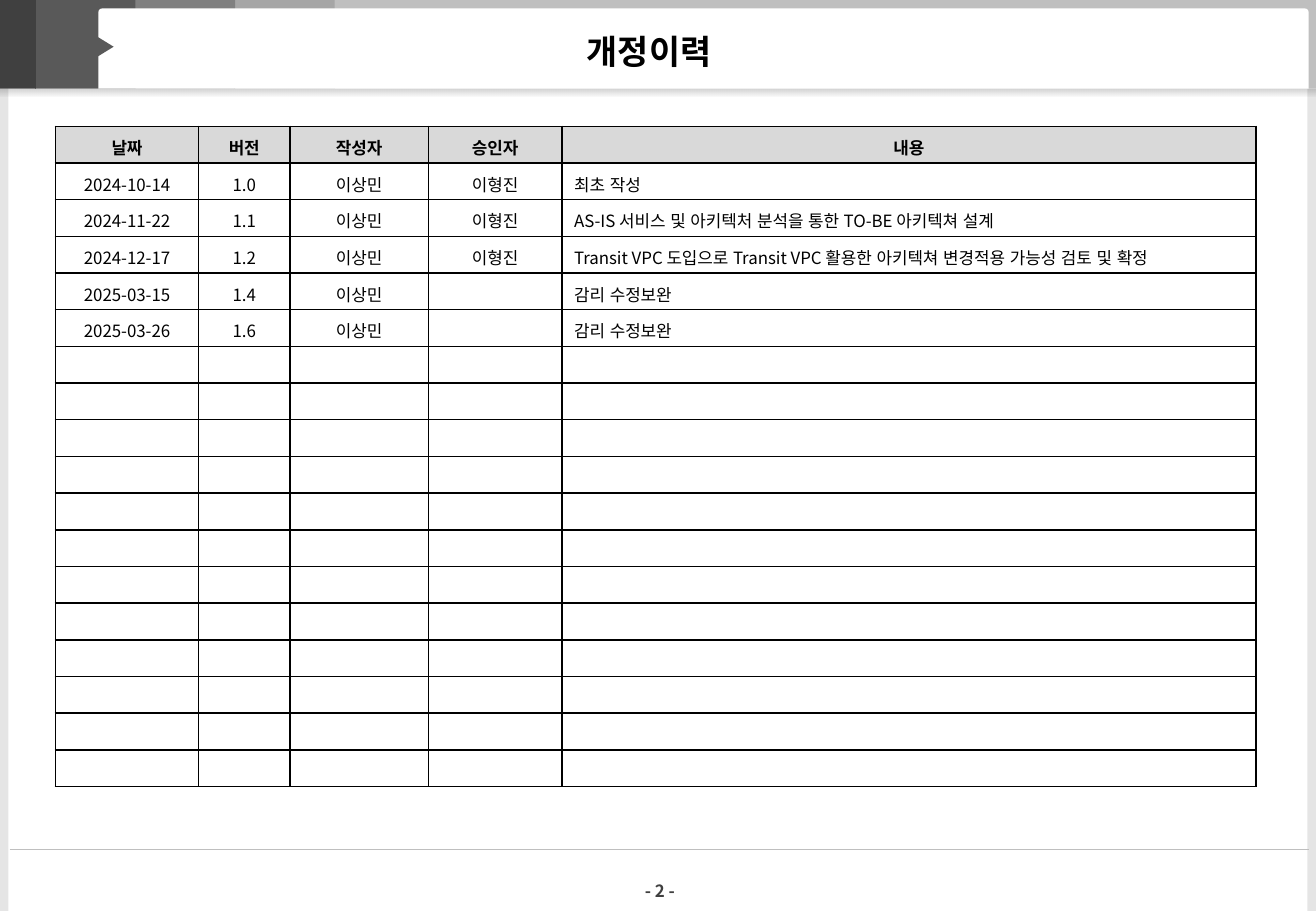
from dataclasses import dataclass

from lxml import etree
from pptx import Presentation
from pptx import util as u
from pptx.dml.color import RGBColor
from pptx.enum import shapes, text
from pptx.oxml import parse_xml
from pptx.oxml.ns import nsdecls, qn


@dataclass(frozen=True)
class Theme:
    font: str = "Noto Sans CJK KR"
    ink: str = "000000"
    paper: str = "FFFFFF"
    header: str = "D9D9D9"
    rule: str = "BFBFBF"
    accent: str = "595959"
    page_number: str = "404040"
    bars: tuple = ("404040", "595959", "808080", "A6A6A6", "BFBFBF")
    title_size: int = 20
    body_size: int = 10


THEME = Theme()
UNIT = u.Inches(0.1)  # side of one square grid cell
PAGE_COLUMNS, PAGE_ROWS = 108.3, 75
BANNER_ROWS = 7.3
BAR_EDGES = (0, 2.9, 11.1, 19.3, 27.5, PAGE_COLUMNS)
BAR_OVERLAP = 0.05
EDGE_WIDTH = 0.7

TABLE_COLUMNS = (11.8, 7.5, 11.4, 11, 57.1)
TABLE_ROWS = 18
HISTORY = (
    ("날짜", "버전", "작성자", "승인자", "내용"),
    ("2024-10-14", "1.0", "이상민", "이형진", "최초 작성"),
    ("2024-11-22", "1.1", "이상민", "이형진",
     "AS-IS 서비스 및 아키텍처 분석을 통한 TO-BE 아키텍쳐 설계"),
    ("2024-12-17", "1.2", "이상민", "이형진",
     "Transit VPC 도입으로 Transit VPC 활용한 아키텍쳐 변경적용 가능성 검토 및 확정"),
    ("2025-03-15", "1.4", "이상민", "", "감리 수정보완"),
    ("2025-03-26", "1.6", "이상민", "", "감리 수정보완"),
)


def grid(*cells):
    """Turn grid columns or rows into lengths."""
    return [u.Emu(round(cell * UNIT)) for cell in cells]


def color(value):
    return RGBColor.from_string(value)


def add_block(page, kind, area, fill):
    block = page.shapes.add_shape(kind, *grid(*area))
    block.shadow.inherit = False
    block.line.fill.background()
    block.fill.solid()
    block.fill.fore_color.rgb = color(fill)
    return block


def set_alpha(block, percent):
    tint = block.fill._xPr.find(".//" + qn("a:srgbClr"))
    etree.SubElement(tint, qn("a:alpha")).set("val", str(percent * 1000))


def fade_down(block, percent):
    """Fill a block with black that fades to nothing at its lower side."""
    properties = block.fill._xPr
    stops = "".join(
        f'<a:gs pos="{position}"><a:srgbClr val="{THEME.ink}">'
        f'<a:alpha val="{alpha}"/></a:srgbClr></a:gs>'
        for position, alpha in ((0, percent * 1000), (100000, 0)))
    gradient = parse_xml(
        f'<a:gradFill {nsdecls("a")} rotWithShape="1"><a:gsLst>{stops}</a:gsLst>'
        '<a:lin ang="5400000" scaled="0"/></a:gradFill>')
    properties.replace(properties.find(qn("a:solidFill")), gradient)


def format_span(span, size, ink, bold):
    span.font.name = THEME.font
    span.font.size = u.Pt(size)
    span.font.bold = bold
    span.font.color.rgb = color(ink)
    properties = span._r.get_or_add_rPr()
    properties.set("lang", "ko-KR")
    properties.set("kern", "0")
    etree.SubElement(properties, qn("a:ea")).set("typeface", THEME.font)


def write_line(box, words, size, ink, align, anchor):
    frame = box.text_frame
    frame.text = words
    frame.auto_size = text.MSO_AUTO_SIZE.NONE
    frame.vertical_anchor = anchor
    frame.margin_left = frame.margin_right = frame.margin_top = frame.margin_bottom = 0
    para = frame.paragraphs[0]
    para.alignment = align
    format_span(para.runs[0], size, ink, True)


def add_banner(page):
    rectangle = shapes.MSO_SHAPE.RECTANGLE
    bars = list(zip(BAR_EDGES, BAR_EDGES[1:], THEME.bars))
    for left, right, fill in reversed(bars):
        right = min(right + BAR_OVERLAP, PAGE_COLUMNS)
        add_block(page, rectangle, (left, 0, right - left, BANNER_ROWS), fill)
    panel = add_block(page, shapes.MSO_SHAPE.ROUND_2_SAME_RECTANGLE,
                      (8.1, 0.7, 99.6, BANNER_ROWS - 0.7), THEME.paper)
    panel.adjustments[0] = 0.045
    pointer = add_block(page, shapes.MSO_SHAPE.ISOSCELES_TRIANGLE,
                        (7.9, 3.2, 1.6, 1.3), THEME.accent)
    pointer.rotation = 90
    shade = add_block(page, rectangle, (0, 7.35, PAGE_COLUMNS, 0.6), THEME.ink)
    fade_down(shade, 18)


def add_frame(page):
    """Draw the side strips, the footer rule and the page number."""
    for left in (0, PAGE_COLUMNS - EDGE_WIDTH):
        strip = add_block(page, shapes.MSO_SHAPE.RECTANGLE,
                          (left, 0, EDGE_WIDTH, PAGE_ROWS), THEME.ink)
        set_alpha(strip, 10)
    rule = page.shapes.add_connector(shapes.MSO_CONNECTOR.STRAIGHT,
                                     *grid(0.8, 69.95, 107.7, 69.95))
    rule.line.color.rgb = color(THEME.rule)
    rule.line.width = u.Pt(0.75)
    etree.SubElement(rule._element.spPr, qn("a:effectLst"))
    number = page.shapes.add_textbox(*grid(52.4, 72.5, 3.8, 1.7))
    write_line(number, "- 2 -", THEME.body_size, THEME.page_number,
               text.PP_ALIGN.CENTER, text.MSO_ANCHOR.MIDDLE)
    number.text_frame.word_wrap = False


def add_title(page):
    title = page.shapes.title
    title.left, title.top, title.width, title.height = grid(48.3, 2.05, 22.6, 3.8)
    write_line(title, "개정이력", THEME.title_size, THEME.ink,
               text.PP_ALIGN.LEFT, text.MSO_ANCHOR.BOTTOM)
    title.element.getparent().append(title.element)  # in front of the banner


def add_borders(cell):
    properties = cell._tc.get_or_add_tcPr()
    for order, side in enumerate("LRTB"):
        properties.insert(order, parse_xml(
            f'<a:ln{side} {nsdecls("a")} w="{u.Pt(1)}"><a:solidFill>'
            f'<a:srgbClr val="{THEME.ink}"/></a:solidFill></a:ln{side}>'))


def fill_cell(cell, words, is_header, align):
    cell.text = words
    cell.vertical_anchor = text.MSO_ANCHOR.MIDDLE
    cell.margin_bottom = u.Inches(0.03)
    cell.fill.solid()
    cell.fill.fore_color.rgb = color(THEME.header if is_header else THEME.paper)
    add_borders(cell)
    para = cell.text_frame.paragraphs[0]
    para.alignment = align
    para.line_spacing = 1.1
    before = etree.SubElement(para._p.get_or_add_pPr(), qn("a:spcBef"))
    etree.SubElement(before, qn("a:spcPct")).set("val", "20000")
    for span in para.runs:
        format_span(span, THEME.body_size, THEME.ink, is_header)
    if not words:  # keeps an empty row as low as a written one
        para._p.append(parse_xml(
            f'<a:endParaRPr {nsdecls("a")} sz="{THEME.body_size * 100}">'
            f'<a:latin typeface="{THEME.font}"/><a:ea typeface="{THEME.font}"/>'
            '</a:endParaRPr>'))


def add_history(page):
    count = len(TABLE_COLUMNS)
    table = page.shapes.add_table(
        TABLE_ROWS, count, *grid(4.55, 10.4, sum(TABLE_COLUMNS), 54.4)).table
    for column, width in zip(table.columns, TABLE_COLUMNS):
        column.width = grid(width)[0]
    blank = ("",) * count
    for r in range(TABLE_ROWS):
        entry = HISTORY[r] if r < len(HISTORY) else blank
        for c, words in enumerate(entry):
            is_note = r > 0 and c == count - 1
            align = text.PP_ALIGN.LEFT if is_note else text.PP_ALIGN.CENTER
            fill_cell(table.cell(r, c), words, r == 0, align)


def main():
    deck = Presentation()
    deck.slide_width, deck.slide_height = grid(PAGE_COLUMNS, PAGE_ROWS)
    page = deck.slides.add_slide(deck.slide_layouts[5])
    add_frame(page)
    add_banner(page)
    add_history(page)
    add_title(page)
    deck.save("out.pptx")


if __name__ == "__main__":
    main()
